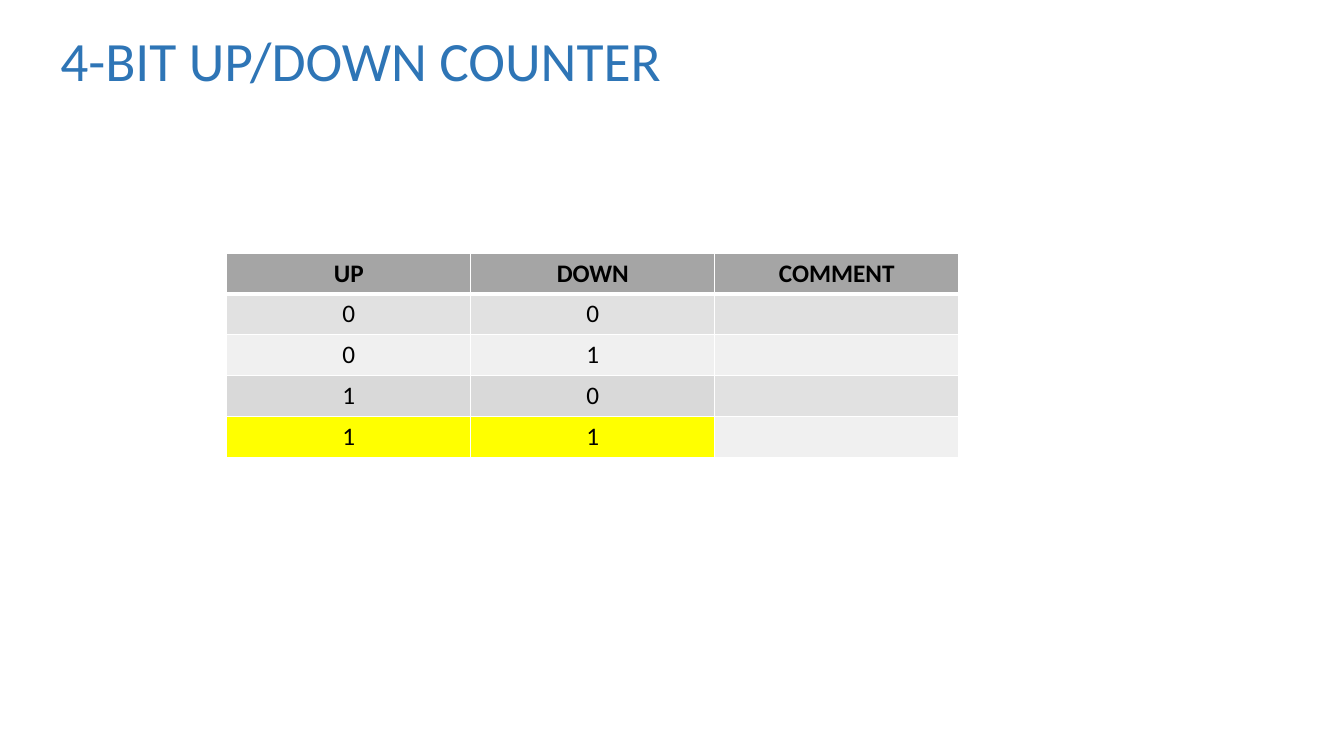
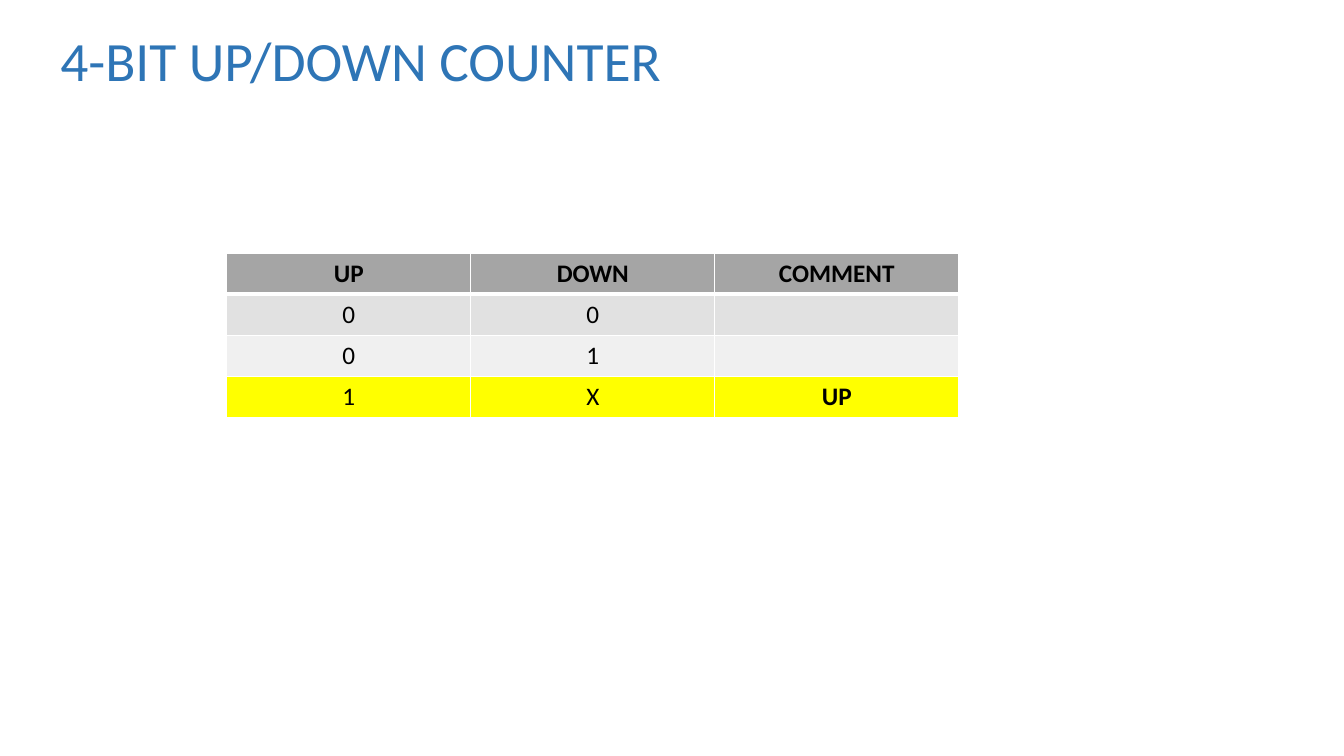
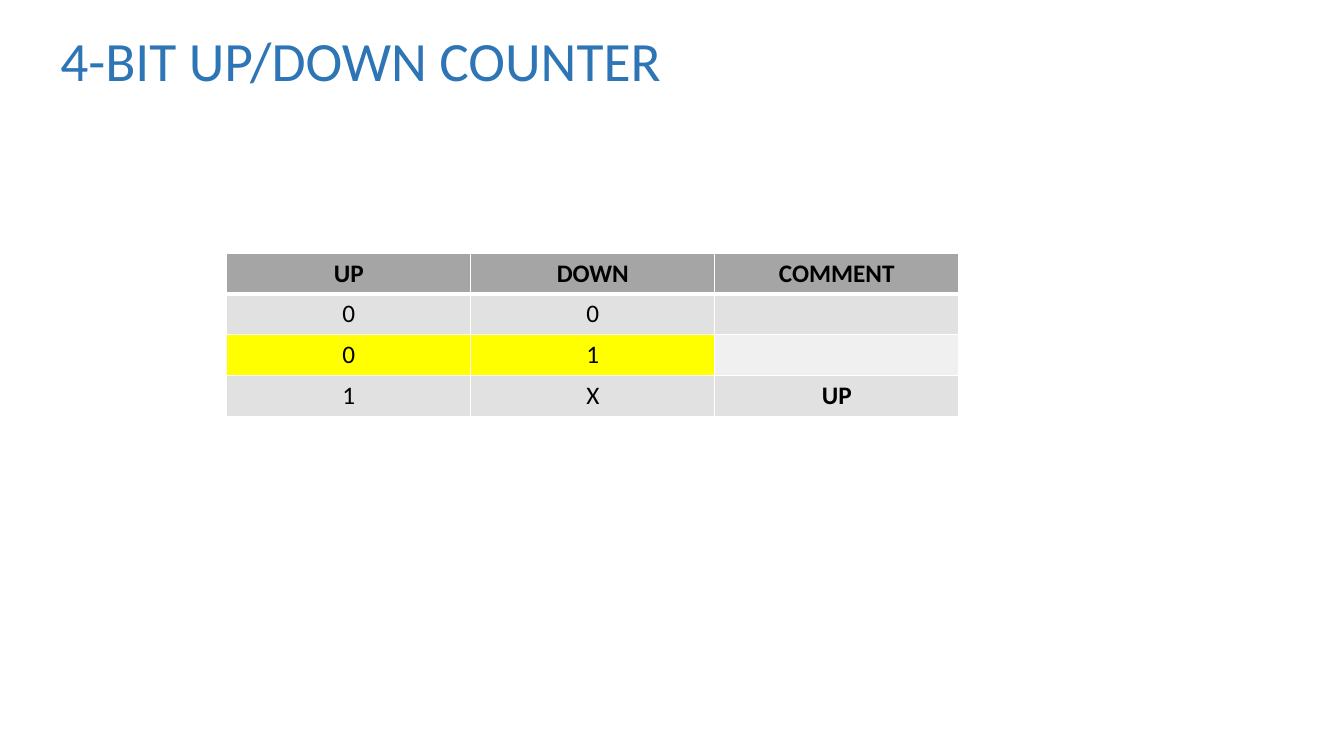
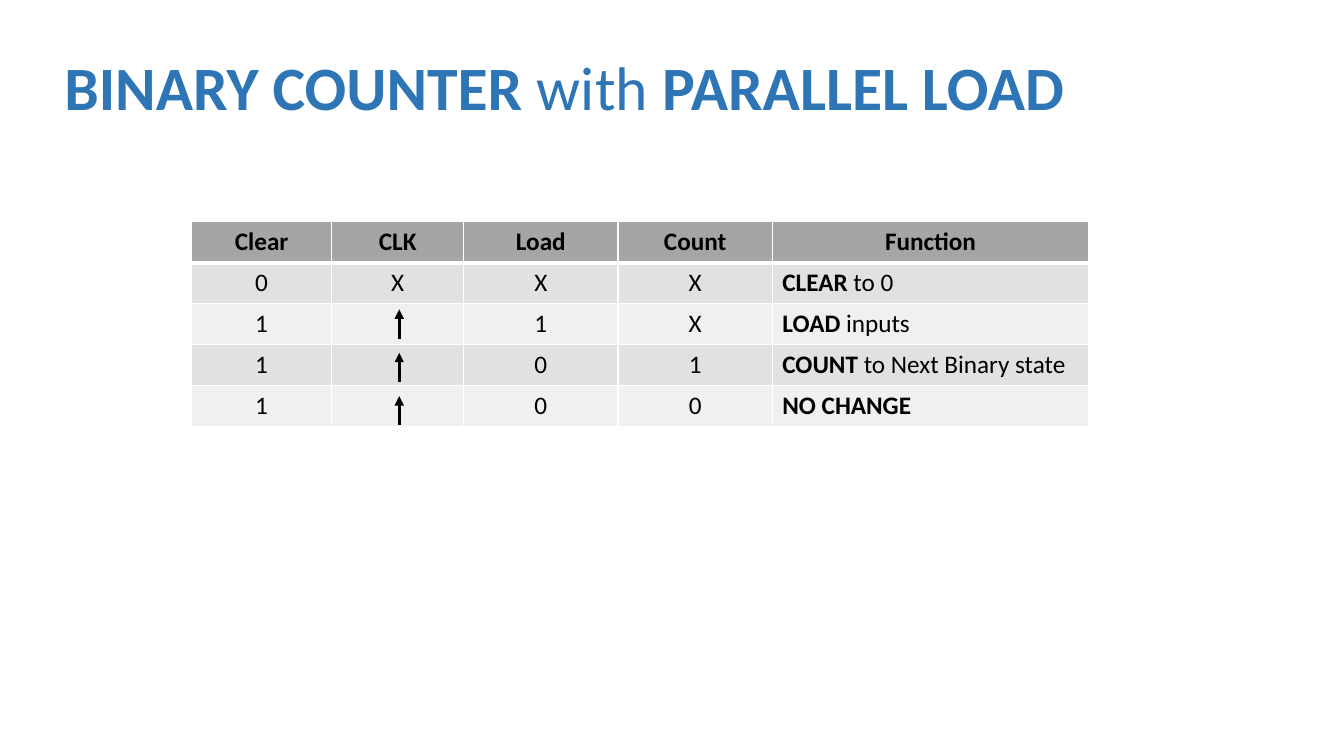
"""Build four slides of truth tables for binary counters."""
import dataclasses

import lxml.etree
import pptx
import pptx.dml.color
import pptx.enum.shapes
import pptx.enum.text
import pptx.oxml.ns
import pptx.slide
import pptx.text.text
import pptx.util

Inches = pptx.util.Inches
Pt = pptx.util.Pt
ALIGN = pptx.enum.text.PP_ALIGN
MIDDLE = pptx.enum.text.MSO_ANCHOR.MIDDLE

FONT = "Calibri"
TITLE_BLUE = "2E75B6"
BLACK = "000000"
WHITE = "FFFFFF"
HEADER_GRAY = "A5A5A5"
BANDS = ("E1E1E1", "F0F0F0")
DARK_BAND = "D9D9D9"
YELLOW = "FFFF00"


@dataclasses.dataclass(frozen=True)
class Title:
    text: str
    left: float
    top: float
    width: float
    height: float
    size: float


@dataclasses.dataclass(frozen=True)
class Tint:
    row: int
    columns: int
    color: str


@dataclasses.dataclass(frozen=True)
class TruthTable:
    left: float
    top: float
    height: float
    widths: tuple[float, ...]
    header: tuple[str, ...]
    rows: tuple[tuple[str, ...], ...]
    tints: tuple[Tint, ...] = ()
    left_aligned: int | None = None


@dataclasses.dataclass(frozen=True)
class ClockEdges:
    x: float
    top: float
    length: float
    pitch: float
    count: int


@dataclasses.dataclass(frozen=True)
class CounterSlide:
    title: Title
    table: TruthTable
    edges: ClockEdges | None = None


def rgb(color: str) -> pptx.dml.color.RGBColor:
    return pptx.dml.color.RGBColor.from_string(color)


def write(paragraph: pptx.text.text._Paragraph, text: str, size: float, color: str) -> None:
    paragraph.font.name = FONT
    paragraph.font.size = Pt(size)
    paragraph.font.color.rgb = rgb(color)
    for index, part in enumerate(text.split("*")):
        if part:
            run = paragraph.add_run()
            run.text = part
            run.font.bold = index % 2 == 1


def add_title(slide: pptx.slide.Slide, title: Title) -> None:
    box = slide.shapes.add_textbox(
        Inches(title.left), Inches(title.top), Inches(title.width), Inches(title.height)
    )
    frame = box.text_frame
    frame.word_wrap = True
    frame.vertical_anchor = MIDDLE
    frame.paragraphs[0].line_spacing = 0.9
    write(frame.paragraphs[0], title.text, title.size, TITLE_BLUE)


def set_borders(cell: pptx.table._Cell, row: int) -> None:
    properties = cell._tc.get_or_add_tcPr()
    widths = {"L": 1, "R": 1, "T": 3 if row == 1 else 1, "B": 3 if row == 0 else 1}
    for side, width in widths.items():
        border = lxml.etree.SubElement(
            properties, pptx.oxml.ns.qn(f"a:ln{side}"), w=str(Pt(width))
        )
        fill = lxml.etree.SubElement(border, pptx.oxml.ns.qn("a:solidFill"))
        lxml.etree.SubElement(fill, pptx.oxml.ns.qn("a:srgbClr"), val=WHITE)


def cell_color(table: TruthTable, row: int, column: int) -> str:
    if row == 0:
        return HEADER_GRAY
    for tint in table.tints:
        if tint.row == row and column < tint.columns:
            return tint.color
    return BANDS[(row - 1) % 2]


def add_truth_table(slide: pptx.slide.Slide, table: TruthTable) -> None:
    lines = (tuple(f"*{name}*" for name in table.header), *table.rows)
    grid = slide.shapes.add_table(
        len(lines), len(table.widths), Inches(table.left), Inches(table.top),
        Inches(sum(table.widths)), Inches(table.height),
    ).table
    for column, width in enumerate(table.widths):
        grid.columns[column].width = Inches(width)
    for row, line in enumerate(lines):
        for column, text in enumerate(line):
            cell = grid.cell(row, column)
            set_borders(cell, row)
            cell.fill.solid()
            cell.fill.fore_color.rgb = rgb(cell_color(table, row, column))
            cell.vertical_anchor = MIDDLE
            paragraph = cell.text_frame.paragraphs[0]
            is_left = row > 0 and column == table.left_aligned
            paragraph.alignment = ALIGN.LEFT if is_left else ALIGN.CENTER
            write(paragraph, text, 18, BLACK)


def add_clock_edges(slide: pptx.slide.Slide, edges: ClockEdges) -> None:
    for index in range(edges.count):
        top = edges.top + index * edges.pitch
        arrow = slide.shapes.add_connector(
            pptx.enum.shapes.MSO_CONNECTOR.STRAIGHT,
            Inches(edges.x), Inches(top + edges.length), Inches(edges.x), Inches(top),
        )
        arrow.line.color.rgb = rgb(BLACK)
        arrow.line.width = Pt(2.25)
        lxml.etree.SubElement(
            arrow.line._get_or_add_ln(), pptx.oxml.ns.qn("a:tailEnd"), type="triangle"
        )
        lxml.etree.SubElement(arrow._element.spPr, pptx.oxml.ns.qn("a:effectLst"))


def up_down_slide(
    height: float, rows: tuple[tuple[str, ...], ...], tints: tuple[Tint, ...]
) -> CounterSlide:
    return CounterSlide(
        Title("4-BIT UP/DOWN COUNTER", 0.5, 0.3, 7.61, 0.66, 39.6),
        TruthTable(2.25, 2.51, height, (2.42,) * 3, ("UP", "DOWN", "COMMENT"), rows, tints),
    )


IDLE_ROWS = (("0", "0", ""), ("0", "1", ""))
MERGED_ROWS = (*IDLE_ROWS, ("1", "X", "*UP*"))

SLIDES = (
    up_down_slide(
        2.03,
        (*IDLE_ROWS, ("1", "0", ""), ("1", "1", "")),
        (Tint(3, 2, DARK_BAND), Tint(4, 2, YELLOW)),
    ),
    up_down_slide(1.63, MERGED_ROWS, (Tint(3, 3, YELLOW),)),
    up_down_slide(1.62, MERGED_ROWS, (Tint(2, 2, YELLOW),)),
    CounterSlide(
        Title("*BINARY COUNTER* with *PARALLEL LOAD*", 0.54, 0.33, 11.36, 1.14, 44),
        TruthTable(
            1.9, 2.2, 2.03, (1.39, 1.31, 1.53, 1.53, 3.14),
            ("Clear", "CLK", "Load", "Count", "Function"),
            (
                ("0", "X", "X", "X", "*CLEAR* to 0"),
                ("1", "", "1", "X", "*LOAD* inputs"),
                ("1", "", "0", "1", "*COUNT* to Next Binary state"),
                ("1", "", "0", "0", "*NO CHANGE*"),
            ),
            left_aligned=4,
        ),
        ClockEdges(x=3.96, top=3.07, length=0.29, pitch=0.43, count=3),
    ),
)


def main() -> None:
    deck = pptx.Presentation()
    deck.slide_width = Inches(13.33)
    deck.slide_height = Inches(7.5)
    for content in SLIDES:
        slide = deck.slides.add_slide(deck.slide_layouts[6])
        add_title(slide, content.title)
        add_truth_table(slide, content.table)
        if content.edges:
            add_clock_edges(slide, content.edges)
    deck.save("out.pptx")


if __name__ == "__main__":
    main()
